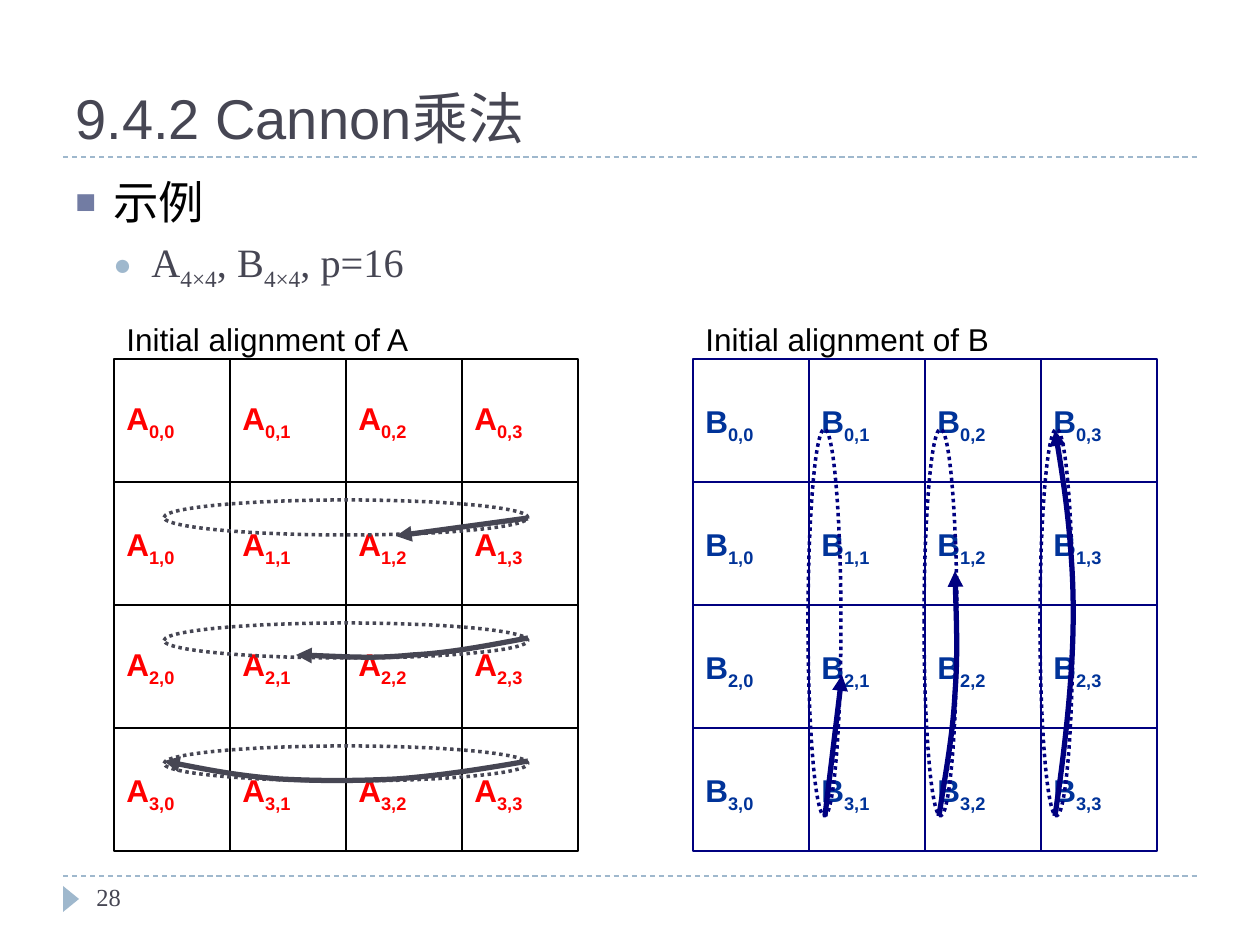
from lxml.etree import SubElement
from pptx import Presentation
from pptx.dml.color import RGBColor
from pptx.enum.dml import MSO_LINE
from pptx.enum.shapes import MSO_CONNECTOR, MSO_SHAPE
from pptx.enum.text import MSO_ANCHOR, PP_ALIGN
from pptx.oxml.ns import qn
from pptx.util import Pt

EMU_PER_PX = 914400 / 126
CELL_WIDTH, CELL_HEIGHT, ORDER = 116, 123, 4
SLATE, PALE_BLUE, NAVY, BLACK = "464653", "9FB8CD", "000080", "000000"
SERIF, SANS = "Times New Roman", "Arial"


def px(length):
    return round(length * EMU_PER_PX)


def color(value):
    return RGBColor.from_string(value)


def drop_style(shape):
    """Remove the theme style, and with it the shadow."""
    shape._element.remove(shape._element.find(qn("p:style")))


def set_line(shape, value, width, dash=None, arrow=False):
    shape.line.color.rgb = color(value)
    shape.line.width = Pt(width)
    if dash:
        shape.line.dash_style = dash
    if arrow:
        SubElement(shape.line._get_or_add_ln(), qn("a:tailEnd"), type="triangle")


def add_preset(slide, kind, left, top, width, height):
    shape = slide.shapes.add_shape(kind, px(left), px(top), px(width), px(height))
    drop_style(shape)
    shape.fill.background()
    return shape


def add_line(slide, start, end, value, width, **options):
    line = slide.shapes.add_connector(MSO_CONNECTOR.STRAIGHT, *map(px, start + end))
    drop_style(line)
    set_line(line, value, width, **options)


def add_curve(slide, points, value):
    """Draw an arrow along Bezier curves: a start, then three points per curve."""
    points = [(px(x), px(y)) for x, y in points]
    builder = slide.shapes.build_freeform(*points[0])
    builder.add_line_segments(points[1:], close=False)
    shape = builder.convert_to_shape()
    drop_style(shape)
    shape.fill.background()
    set_line(shape, value, 3, arrow=True)
    outline = shape._element.find(".//" + qn("a:path"))
    segments = outline.findall(qn("a:lnTo"))
    for index in range(0, len(segments), 3):
        curve = SubElement(outline, qn("a:cubicBezTo"))
        for segment in segments[index:index + 3]:
            curve.append(segment[0])
            outline.remove(segment)


def add_text_box(slide, left, top, width, height):
    box = slide.shapes.add_textbox(px(left), px(top), px(width), px(height))
    box.text_frame.word_wrap = True
    return box.text_frame


def write(paragraph, parts, size, value, name, bold=False):
    """Write the parts, every second one as a subscript."""
    for index, part in enumerate(parts):
        run = paragraph.add_run()
        run.text = part
        if index % 2:
            run._r.get_or_add_rPr().set("baseline", "-25000")
    font = paragraph.font
    font.size, font.name, font.bold = Pt(size), name, bold
    font.color.rgb = color(value)


def add_bullet(paragraph, indent, symbol, value):
    properties = paragraph._p.get_or_add_pPr()
    properties.set("marL", str(px(indent)))
    properties.set("indent", str(px(-38)))
    bullet_color = SubElement(properties, qn("a:buClr"))
    SubElement(bullet_color, qn("a:srgbClr"), val=value)
    SubElement(properties, qn("a:buSzPct"), val="76000")
    SubElement(properties, qn("a:buFont"), typeface=SANS)
    SubElement(properties, qn("a:buChar"), char=symbol)


def add_header(slide, left, top, width, height):
    frame = add_text_box(slide, left, top, width, height)
    frame.vertical_anchor = MSO_ANCHOR.BOTTOM
    write(frame.paragraphs[0], ["9.4.2 Cannon乘法"], 32, SLATE, SANS)
    bottom = top + height
    add_line(slide, (left, bottom), (left + width, bottom), PALE_BLUE, 0.75,
             dash=MSO_LINE.DASH)


def add_body(slide, left, top, width, height):
    frame = add_text_box(slide, left, top, width, height)
    heading = frame.paragraphs[0]
    add_bullet(heading, 38, "■", "727CA3")
    write(heading, ["示例"], 26, BLACK, SERIF)
    detail = frame.add_paragraph()
    detail.level = 1
    detail.space_before = Pt(5)
    add_bullet(detail, 76, "●", PALE_BLUE)
    write(detail, ["A", "4×4", ", B", "4×4", ", p=16"], 23, SLATE, SERIF)


def add_footer(slide, left, top, width):
    add_line(slide, (left, top), (left + width, top), PALE_BLUE, 0.75,
             dash=MSO_LINE.DASH)
    marker = add_preset(slide, MSO_SHAPE.ISOSCELES_TRIANGLE, left - 5, top + 15, 26, 16)
    marker.rotation = 90
    marker.fill.solid()
    marker.fill.fore_color.rgb = color(PALE_BLUE)
    frame = add_text_box(slide, left + 21, top, 273, 50)
    write(frame.paragraphs[0], ["28"], 14, SLATE, SERIF)


def add_matrix(slide, left, top, letter, text_color, line_color, bottom_insets):
    """Draw the captioned grid; bottom_insets alternate from row to row."""
    for column in range(ORDER):
        for row in range(ORDER):
            cell = add_preset(slide, MSO_SHAPE.RECTANGLE, left + column * CELL_WIDTH,
                              top + row * CELL_HEIGHT, CELL_WIDTH, CELL_HEIGHT)
            set_line(cell, line_color, 0.75)
            frame = cell.text_frame
            frame.word_wrap = True
            frame.margin_bottom = px(bottom_insets[row % 2])
            frame.vertical_anchor = MSO_ANCHOR.MIDDLE
            paragraph = frame.paragraphs[0]
            paragraph.alignment = PP_ALIGN.LEFT
            write(paragraph, [letter, f"{row},{column}"], 18, text_color, SANS, True)
    caption = add_text_box(slide, left, top - 45, 490, 63)
    write(caption.paragraphs[0], [f"Initial alignment of {letter}"], 18, BLACK, SANS)


def add_shifts(slide, left, top, loop, step, routes, value):
    """Draw a dotted loop and an arrow per shift; loop is x, y, width, height."""
    x, y, width, height = loop
    for index, route in enumerate(routes):
        ellipse = add_preset(slide, MSO_SHAPE.OVAL, left + x + index * step[0],
                             top + y + index * step[1], width, height)
        set_line(ellipse, value, 2, dash=MSO_LINE.ROUND_DOT)
        points = [(left + across, top + down) for across, down in route]
        if len(points) == 2:
            add_line(slide, *points, value, 3, arrow=True)
        else:
            add_curve(slide, points, value)


ROW_ROUTES = [
    [(414, 159), (282, 177)],
    [(414, 279), (376, 286), (337, 294), (298, 296), (260, 300), (221, 297), (182, 296)],
    [(414, 402), (369, 410), (323, 417), (282, 420), (240, 422), (205, 422), (166, 420),
     (127, 417), (89, 410), (50, 402)],
]
COLUMN_ROUTES = [
    [(132, 457), (149, 316)],
    [(246, 457), (252, 417), (260, 376), (262, 334), (265, 294), (263, 252), (262, 212)],
    [(362, 457), (369, 410), (375, 360), (378, 316), (381, 272), (381, 234), (378, 194),
     (375, 153), (369, 112), (362, 71)],
]


def main():
    presentation = Presentation()
    presentation.slide_width, presentation.slide_height = px(1260), px(945)
    slide = presentation.slides.add_slide(presentation.slide_layouts[6])
    add_header(slide, 63, 21, 1134, 136)
    add_body(slide, 63, 168, 1134, 680)
    add_footer(slide, 63, 876, 1134)
    # Matrix A shifts along rows, matrix B along columns
    add_matrix(slide, 114, 359, "A", "FF0000", BLACK, (6, 0))
    add_matrix(slide, 693, 359, "B", "003399", NAVY, (0, 0))
    add_shifts(slide, 114, 359, (50, 141, 364, 35), (0, CELL_HEIGHT), ROW_ROUTES, SLATE)
    add_shifts(slide, 693, 359, (115, 70, 33, 387), (CELL_WIDTH, 0), COLUMN_ROUTES, NAVY)
    presentation.save("out.pptx")


if __name__ == "__main__":
    main()
